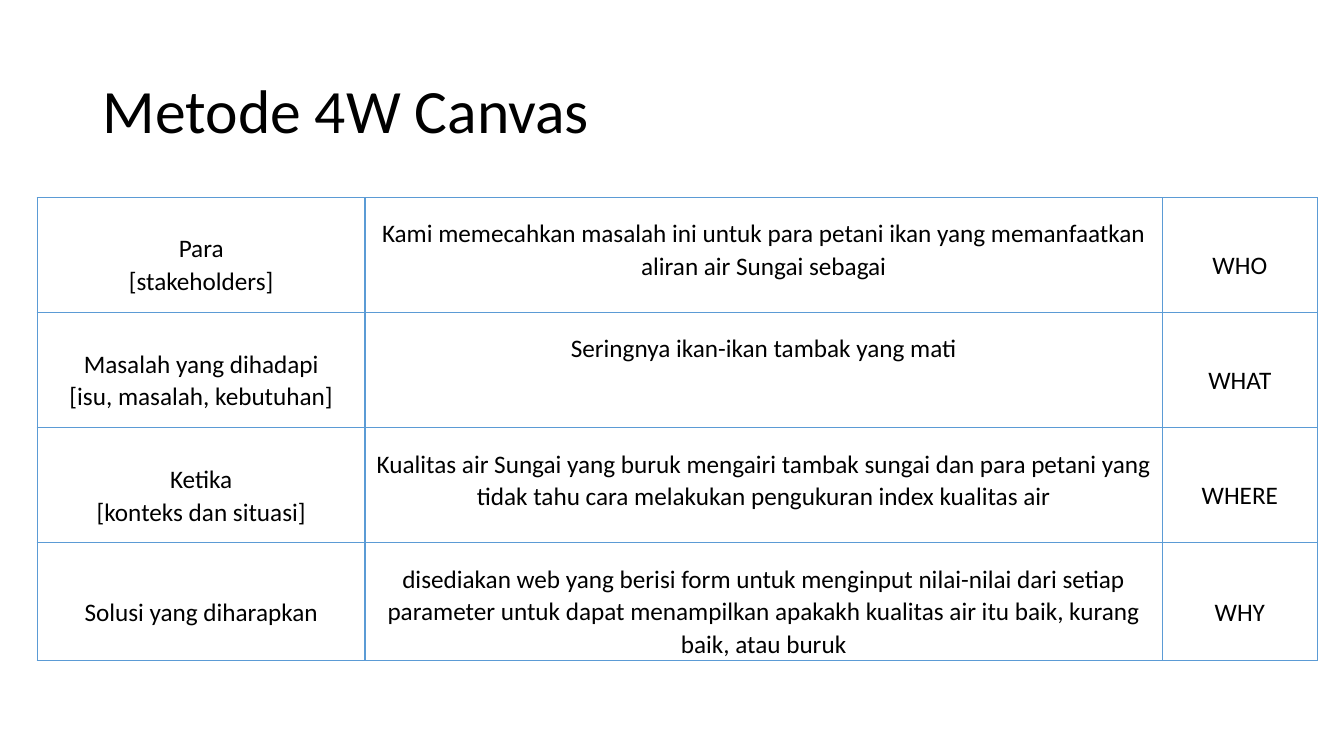
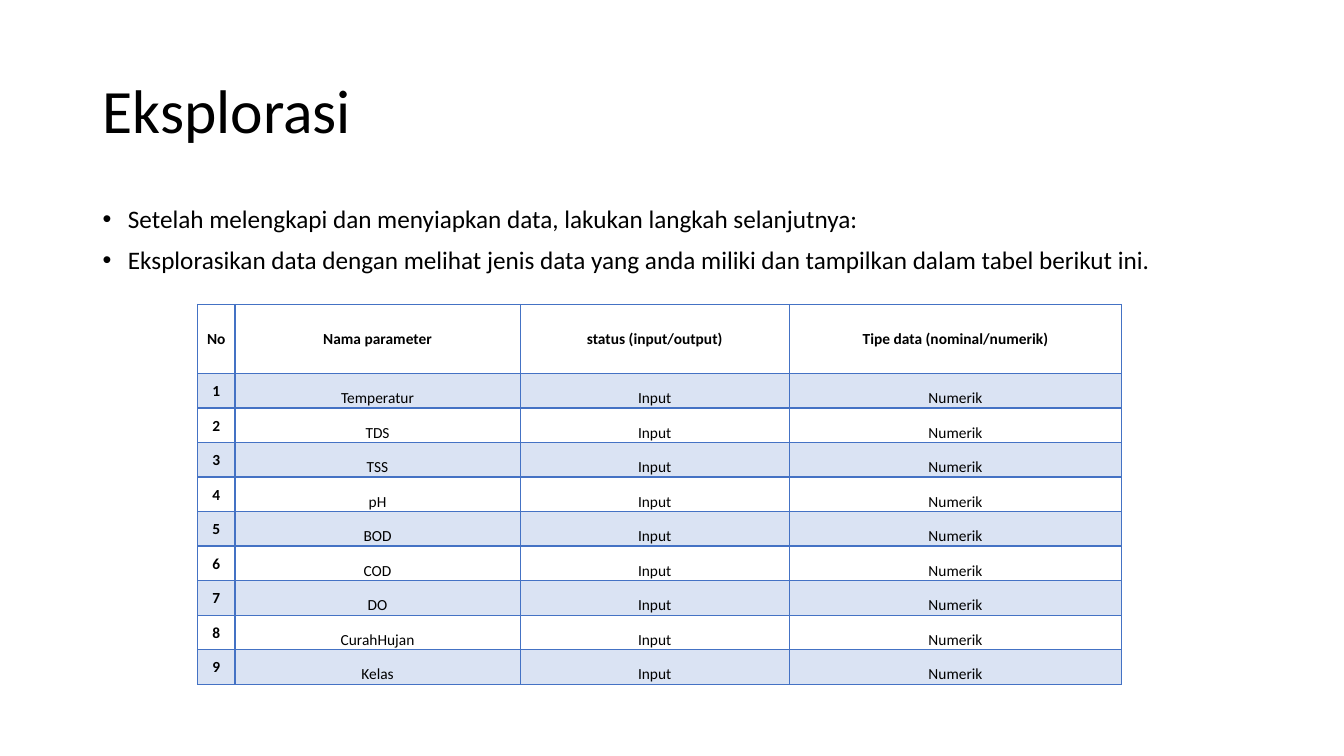
import pptx
import pptx.util
import pptx.dml.color
import pptx.enum.text
import pptx.oxml.ns
from lxml import etree

Cm = pptx.util.Cm
Pt = pptx.util.Pt
ALIGN = pptx.enum.text.PP_ALIGN
ANCHOR = pptx.enum.text.MSO_ANCHOR

FONT = "Calibri"
COLOURS = {
    "text": "000000",
    "canvas_line": "5B9BD5",
    "data_line": "4472C4",
    "band": "DAE3F3",
}
TEXT_LEFT, TEXT_WIDTH = Cm(2.33), Cm(29.21)


def write_lines(para, text, size, bold=False, spacing=0.9):
    """Add text to a paragraph, one run a line, with line breaks between."""
    para.line_spacing = spacing
    for number, line in enumerate(text.split("\n")):
        if number:
            para.add_line_break()
        span = para.add_run()
        span.text = line
        span.font.name = FONT
        span.font.size = Pt(size)
        span.font.bold = bold
        span.font.color.rgb = pptx.dml.color.RGBColor.from_string(COLOURS["text"])


def add_grid(page, left, top, widths, heights, rows, look):
    """Add a table; look(row, column) gives the format of each cell."""
    frame = page.shapes.add_table(
        len(rows), len(widths), Cm(left), Cm(top), Cm(sum(widths)), Cm(sum(heights))
    )
    table = frame.table
    table.first_row = table.horz_banding = False
    for column, width in zip(table.columns, widths):
        column.width = Cm(width)
    for row, height in zip(table.rows, heights):
        row.height = Cm(height)
    for r, texts in enumerate(rows):
        for c, text in enumerate(texts):
            cell, style = table.cell(r, c), look(r, c)
            cell.margin_left = cell.margin_right = Cm(style["side"])
            cell.margin_top, cell.margin_bottom = Cm(style["above"]), Cm(0)
            cell.vertical_anchor = style["anchor"]
            para = cell.text_frame.paragraphs[0]
            para.alignment = ALIGN.CENTER
            write_lines(para, text, style["size"], style["bold"], 1.07)

            # Borders have to come before the fill in the cell properties
            qn = pptx.oxml.ns.qn
            properties = cell._tc.get_or_add_tcPr()
            for edge in ("lnL", "lnR", "lnT", "lnB"):
                points = style["heavy"].get(edge, 1)
                border = etree.SubElement(properties, qn("a:" + edge), w=str(Pt(points)))
                fill = etree.SubElement(border, qn("a:solidFill"))
                etree.SubElement(fill, qn("a:srgbClr"), val=COLOURS[style["line"]])
            if style["band"]:
                cell.fill.solid()
                cell.fill.fore_color.rgb = pptx.dml.color.RGBColor.from_string(COLOURS["band"])
            else:
                cell.fill.background()


deck = pptx.Presentation()
deck.slide_width, deck.slide_height = Cm(33.87), Cm(19.05)
TITLE_AND_CONTENT, TITLE_ONLY = 1, 5

pages = []
for layout, heading in ((TITLE_ONLY, "Metode 4W Canvas"), (TITLE_AND_CONTENT, "Eksplorasi")):
    page = deck.slides.add_slide(deck.slide_layouts[layout])
    title = page.shapes.title
    title.left, title.top, title.width, title.height = TEXT_LEFT, Cm(1.01), TEXT_WIDTH, Cm(3.68)
    title.text_frame.vertical_anchor = ANCHOR.MIDDLE
    para = title.text_frame.paragraphs[0]
    para.alignment = ALIGN.LEFT
    write_lines(para, heading, 44)
    pages.append(page)
canvas_page, data_page = pages

# Slide 1: the 4W canvas
canvas_rows = [
    ("Para\n[stakeholders]",
     "Kami memecahkan masalah ini untuk para petani ikan yang memanfaatkan "
     "aliran air Sungai sebagai",
     "WHO"),
    ("Masalah yang dihadapi\n[isu, masalah, kebutuhan]",
     "Seringnya ikan-ikan tambak yang mati",
     "WHAT"),
    ("Ketika\n[konteks dan situasi]",
     "Kualitas air Sungai yang buruk mengairi tambak sungai dan para petani yang "
     "tidak tahu cara melakukan pengukuran index kualitas air",
     "WHERE"),
    ("Solusi yang diharapkan",
     "disediakan web yang berisi form untuk menginput nilai-nilai dari setiap "
     "parameter untuk dapat menampilkan apakakh kualitas air itu baik, kurang "
     "baik, atau buruk",
     "WHY"),
]


def canvas_look(row, column):
    return {
        "size": 18, "bold": False, "side": 0.03, "above": 0.48,
        "anchor": ANCHOR.TOP if column == 1 else ANCHOR.MIDDLE,
        "line": "canvas_line", "heavy": {}, "band": False,
    }


add_grid(canvas_page, 0.94, 4.98, (8.26, 20.09, 3.91), [2.9] * 4, canvas_rows, canvas_look)

# Slide 2: the instructions and the parameters
body = data_page.placeholders[1]
body.left, body.top, body.width, body.height = TEXT_LEFT, Cm(5.07), TEXT_WIDTH, Cm(12.09)
instructions = (
    "Setelah melengkapi dan menyiapkan data, lakukan langkah selanjutnya:",
    "Eksplorasikan data dengan melihat jenis data yang anda miliki dan tampilkan "
    "dalam tabel berikut ini.",
)
for number, instruction in enumerate(instructions):
    para = body.text_frame.add_paragraph() if number else body.text_frame.paragraphs[0]
    para.space_before = Pt(10)
    write_lines(para, instruction, 18)
    settings = para._p.get_or_add_pPr()
    settings.set("marL", str(Cm(0.64)))
    settings.set("indent", str(-Cm(0.64)))
    etree.SubElement(settings, pptx.oxml.ns.qn("a:buFont"), typeface="Arial")
    etree.SubElement(settings, pptx.oxml.ns.qn("a:buChar"), char="•")

parameters = ("Temperatur", "TDS", "TSS", "pH", "BOD", "COD", "DO", "CurahHujan", "Kelas")
data_rows = [("No", "Nama parameter", "status (input/output)", "Tipe data (nominal/numerik)")]
for number, parameter in enumerate(parameters, 1):
    data_rows.append((str(number), parameter, "Input", "Numerik"))


def data_look(row, column):
    label = row == 0 or column == 0
    return {
        "size": 11, "bold": label, "side": 0.18, "above": 0,
        "anchor": ANCHOR.MIDDLE if label else ANCHOR.BOTTOM,
        "line": "data_line", "heavy": {0: {"lnB": 1.5}, 1: {"lnT": 1.5}}.get(row, {}),
        "band": row % 2 == 1,
    }


data_heights = [1.74] + [0.87] * len(parameters)
add_grid(data_page, 4.98, 7.67, (0.94, 7.19, 6.78, 8.38), data_heights, data_rows, data_look)

deck.save("out.pptx")
